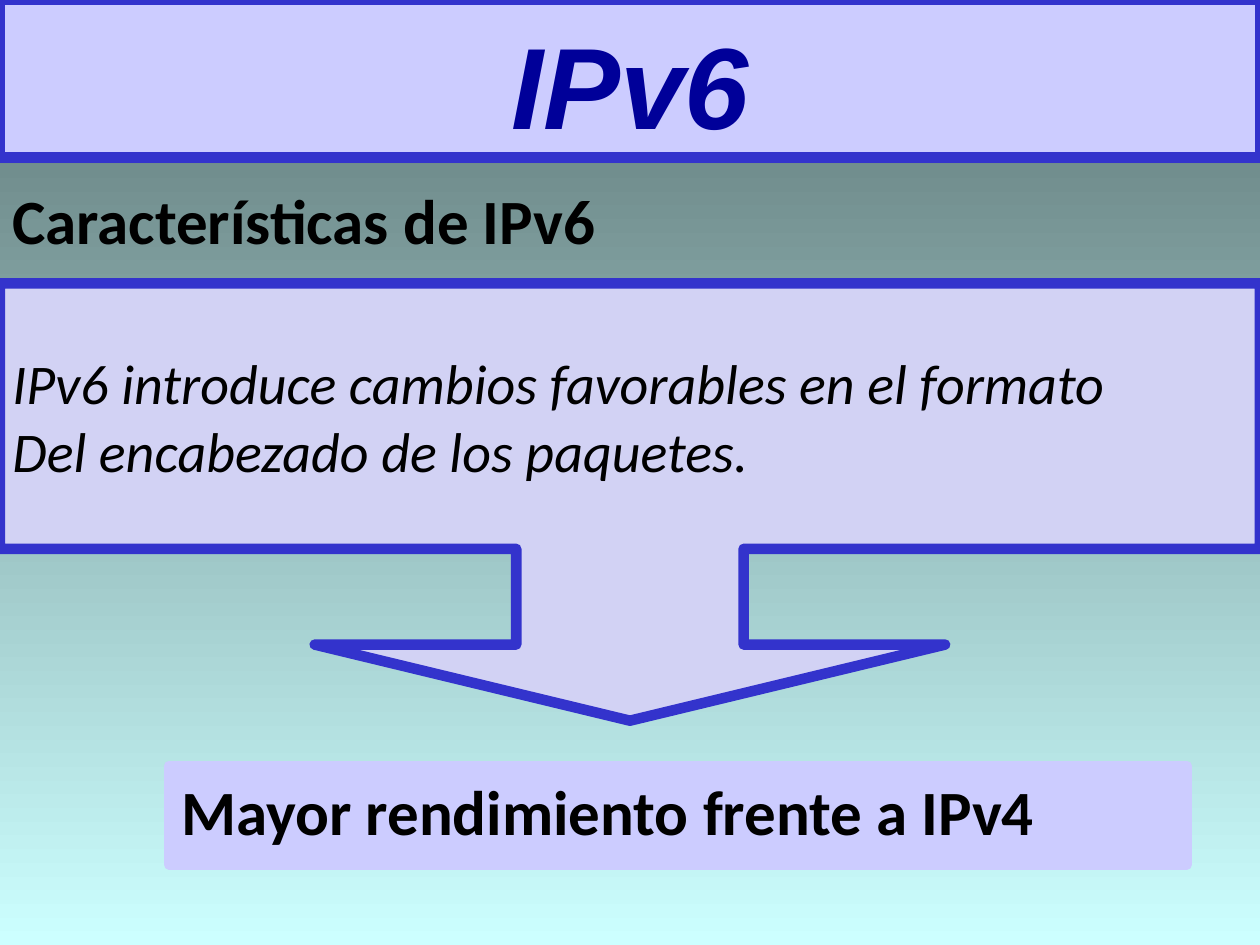
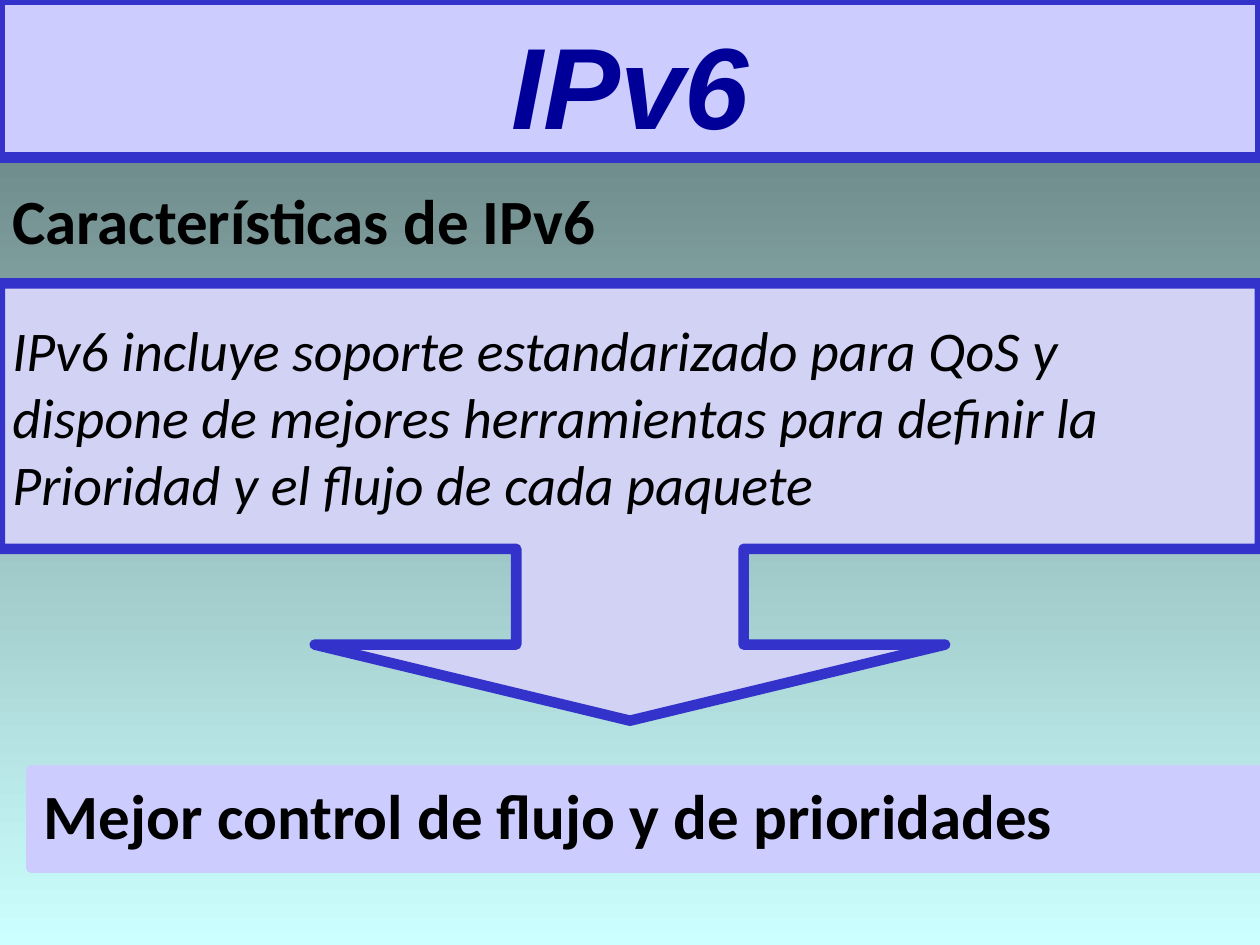
import dataclasses

import pptx
import pptx.dml.color
import pptx.enum.shapes
import pptx.enum.text
import pptx.util

Inches = pptx.util.Inches
Shapes = pptx.enum.shapes.MSO_SHAPE
Anchor = pptx.enum.text.MSO_ANCHOR
Align = pptx.enum.text.PP_ALIGN


@dataclasses.dataclass(frozen=True)
class Theme:
    """Colours, fonts and sizes shared by the slides."""
    background_top: str = "5E7676"
    background_bottom: str = "CCFFFF"
    band: str = "CCCCFF"
    callout: str = "D2D2F4"
    border: str = "3333CC"
    title_text: str = "000099"
    body_text: str = "000000"
    title_font: str = "Arial"
    body_font: str = "Calibri"
    title_size: int = 66
    heading_size: int = 36
    callout_size: int = 32
    border_width: int = 6


THEME = Theme()


def rgb(colour):
    """Turn a hexadecimal string into a colour."""
    return pptx.dml.color.RGBColor.from_string(colour)


def set_background(slide):
    """Fill the slide background with the vertical gradient."""
    fill = slide.background.fill
    fill.gradient()
    fill.gradient_angle = 270
    colours = (THEME.background_top, THEME.background_bottom)
    for stop, colour in zip(fill.gradient_stops, colours):
        stop.color.rgb = rgb(colour)


def write_text(shape, text, size, font=THEME.body_font, colour=THEME.body_text,
               bold=False, italic=False, align=Align.LEFT, anchor=Anchor.TOP):
    """Write wrapped text into a shape and format every run."""
    frame = shape.text_frame
    frame.text = text
    frame.word_wrap = True
    frame.vertical_anchor = anchor
    for paragraph in frame.paragraphs:
        paragraph.alignment = align
        for run in paragraph.runs:
            run.font.name = font
            run.font.size = pptx.util.Pt(size)
            run.font.bold = bold
            run.font.italic = italic
            run.font.color.rgb = rgb(colour)


def add_panel(slide, kind, left, top, width, height, fill, line):
    """Add a filled preset shape with a thick outline."""
    shape = slide.shapes.add_shape(
        kind, Inches(left), Inches(top), Inches(width), Inches(height))
    shape.shadow.inherit = False
    shape.fill.solid()
    shape.fill.fore_color.rgb = rgb(fill)
    shape.line.color.rgb = rgb(line)
    shape.line.width = pptx.util.Pt(THEME.border_width)
    return shape


def add_title(slide, text):
    """Add the title band across the top."""
    band = add_panel(slide, Shapes.RECTANGLE, 0, 0, 10, 1.25, THEME.band, THEME.border)
    write_text(band, text, THEME.title_size, THEME.title_font, THEME.title_text,
               bold=True, italic=True, align=Align.CENTER, anchor=Anchor.MIDDLE)
    band.text_frame.margin_top = Inches(0.12)


def add_heading(slide, text):
    """Add the section heading below the title."""
    box = slide.shapes.add_textbox(Inches(0), Inches(1.39), Inches(5.3), Inches(0.7))
    write_text(box, text, THEME.heading_size, bold=True)


def add_conclusion(slide, text, left, top, width):
    """Add the band with the advantage the arrow points to."""
    band = add_panel(slide, Shapes.RECTANGLE, left, top, width, 0.78, THEME.band, THEME.band)
    write_text(band, text, THEME.heading_size, bold=True)


def add_callout(slide, lines):
    """Add the down arrow callout that describes the feature."""
    callout = add_panel(slide, Shapes.DOWN_ARROW_CALLOUT, 0, 2.25, 10, 3.47,
                        THEME.callout, THEME.border)
    for index, value in enumerate((0.52, 0.721, 0.174, 0.607)):
        callout.adjustments[index] = value
    write_text(callout, "\n".join(lines), THEME.callout_size, italic=True,
               anchor=Anchor.MIDDLE)


def add_feature_slide(presentation, lines, conclusion, conclusion_place):
    """Add one slide with a feature and its advantage."""
    slide = presentation.slides.add_slide(presentation.slide_layouts[6])
    set_background(slide)
    add_title(slide, "IPv6")
    add_heading(slide, "Características de IPv6")
    add_conclusion(slide, conclusion, *conclusion_place)
    add_callout(slide, lines)


def main():
    """Build and save the presentation."""
    presentation = pptx.Presentation()
    presentation.slide_width = Inches(10)
    presentation.slide_height = Inches(7.5)
    add_feature_slide(
        presentation,
        ["IPv6 introduce cambios favorables en el formato",
         "Del encabezado de los paquetes."],
        "Mayor rendimiento frente a IPv4", (1.34, 6.08, 8.08))
    add_feature_slide(
        presentation,
        ["IPv6 incluye soporte estandarizado para QoS y",
         "dispone de mejores herramientas para definir la",
         "Prioridad y el flujo de cada paquete"],
        "Mejor control de flujo y de prioridades", (0.25, 6.11, 9.75))
    presentation.save("out.pptx")


if __name__ == "__main__":
    main()
